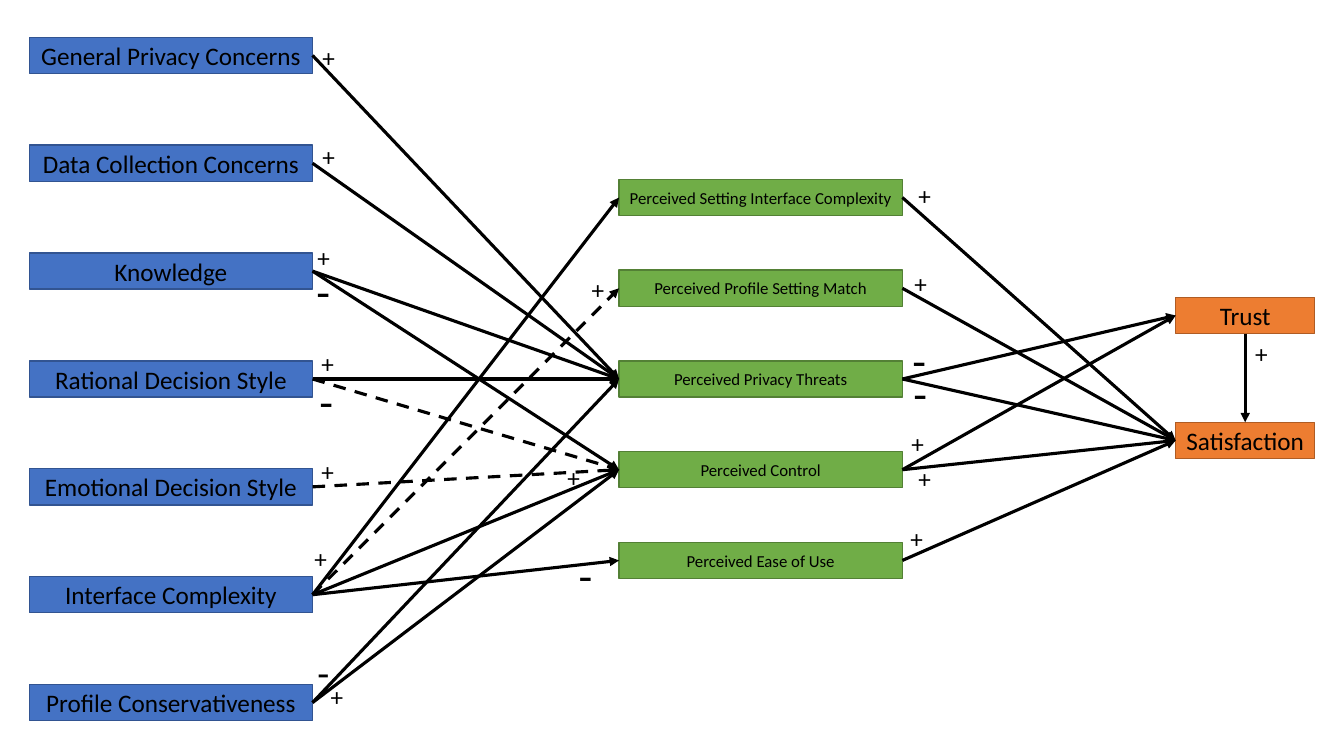
from lxml import etree
from pptx import Presentation
from pptx.dml.color import RGBColor
from pptx.enum.dml import MSO_LINE
from pptx.enum.shapes import MSO_CONNECTOR, MSO_SHAPE
from pptx.enum.text import MSO_ANCHOR, MSO_AUTO_SIZE, PP_ALIGN
from pptx.oxml.ns import qn
from pptx.util import Inches, Pt

RECTANGLE = MSO_SHAPE.RECTANGLE
STRAIGHT = MSO_CONNECTOR.STRAIGHT
DASH = MSO_LINE.DASH
FIT_SHAPE = MSO_AUTO_SIZE.SHAPE_TO_FIT_TEXT
CENTER = PP_ALIGN.CENTER
MIDDLE = MSO_ANCHOR.MIDDLE

BLACK = "000000"
BOX_HEIGHT = 0.36
# Connection sites of a rectangle
TOP, LEFT, BOTTOM, RIGHT = range(4)


def color(hex_code):
    return RGBColor.from_string(hex_code)


def write(shape, text, size):
    shape.text_frame.text = text
    font = shape.text_frame.paragraphs[0].runs[0].font
    font.name = "Calibri"
    font.size = Pt(size)
    font.color.rgb = color(BLACK)


presentation = Presentation()
presentation.slide_width = Inches(13.33)
presentation.slide_height = Inches(7.5)
slide = presentation.slides.add_slide(presentation.slide_layouts[6])

# Columns: left, width, first top, row pitch, fill, outline, text size, labels
columns = [
    (0.29, 2.81, 0.37, 1.07, "4472C4", "325491", 18, [
        "General Privacy Concerns", "Data Collection Concerns", "Knowledge",
        "Rational Decision Style", "Emotional Decision Style",
        "Interface Complexity", "Profile Conservativeness"]),
    (6.14, 2.81, 1.78, 0.9, "70AD47", "538035", 12, [
        "Perceived Setting Interface Complexity",
        "Perceived Profile Setting Match", "Perceived Privacy Threats",
        "Perceived Control", "Perceived Ease of Use"]),
    (11.66, 1.38, 2.95, 1.24, "ED7D31", "AF5C24", 18, [
        "Trust", "Satisfaction"]),
]

boxes = {}
for left, width, first_top, pitch, fill, outline, size, labels in columns:
    for row, label in enumerate(labels):
        box = slide.shapes.add_shape(
            RECTANGLE, Inches(left), Inches(first_top + row * pitch),
            Inches(width), Inches(BOX_HEIGHT))
        box.shadow.inherit = False
        box.fill.solid()
        box.fill.fore_color.rgb = color(fill)
        box.line.color.rgb = color(outline)
        box.line.width = Pt(1)
        write(box, label, size)
        box.text_frame.word_wrap = False
        box.text_frame.vertical_anchor = MIDDLE
        box.text_frame.paragraphs[0].alignment = CENTER
        boxes[label] = box

# Effects: each cause with the factors it influences
effects = {
    "General Privacy Concerns": ["Perceived Privacy Threats"],
    "Data Collection Concerns": ["Perceived Privacy Threats"],
    "Knowledge": ["Perceived Privacy Threats", "Perceived Control"],
    "Rational Decision Style": ["Perceived Privacy Threats", "Perceived Control"],
    "Emotional Decision Style": ["Perceived Control"],
    "Interface Complexity": [
        "Perceived Setting Interface Complexity", "Perceived Profile Setting Match",
        "Perceived Control", "Perceived Ease of Use"],
    "Profile Conservativeness": ["Perceived Privacy Threats", "Perceived Control"],
    "Perceived Setting Interface Complexity": ["Satisfaction"],
    "Perceived Profile Setting Match": ["Satisfaction"],
    "Perceived Privacy Threats": ["Trust", "Satisfaction"],
    "Perceived Control": ["Trust", "Satisfaction"],
    "Perceived Ease of Use": ["Satisfaction"],
    "Trust": ["Satisfaction"],
}
dashed_effects = {
    ("Rational Decision Style", "Perceived Control"),
    ("Emotional Decision Style", "Perceived Control"),
    ("Interface Complexity", "Perceived Profile Setting Match"),
}

for cause, targets in effects.items():
    start_site, end_site = (BOTTOM, TOP) if cause == "Trust" else (RIGHT, LEFT)
    for target in targets:
        arrow = slide.shapes.add_connector(STRAIGHT, 0, 0, 0, 0)
        arrow.begin_connect(boxes[cause], start_site)
        arrow.end_connect(boxes[target], end_site)
        arrow.line.color.rgb = color(BLACK)
        arrow.line.width = Pt(2.25)
        if (cause, target) in dashed_effects:
            arrow.line.dash_style = DASH
        outline = arrow.line._get_or_add_ln()
        etree.SubElement(outline, qn("a:tailEnd"), type="triangle")
        etree.SubElement(arrow._element.spPr, qn("a:effectLst"))

# Signs: text, size, width, height, top left corners
signs = [
    ("+", 18, 0.29, 0.4, [
        (3.1, 0.37), (3.1, 1.35), (3.05, 2.35), (3.09, 3.41), (3.09, 4.48),
        (3.02, 5.34), (3.18, 6.71), (5.77, 2.67), (5.53, 4.54), (9.01, 1.74),
        (8.97, 2.61), (8.94, 4.2), (9.01, 4.55), (8.93, 5.14), (12.35, 3.31)]),
    ("-", 32, 0.42, 0.64, [
        (3.04, 2.57), (3.07, 3.66), (5.64, 5.38), (8.95, 3.25), (8.96, 3.58)]),
    ("-", 28, 0.29, 0.57, [(3.05, 6.38)]),
]

for text, size, width, height, corners in signs:
    for left, top in corners:
        sign = slide.shapes.add_textbox(
            Inches(left), Inches(top), Inches(width), Inches(height))
        write(sign, text, size)
        sign.text_frame.word_wrap = True
        sign.text_frame.auto_size = FIT_SHAPE

presentation.save("out.pptx")
